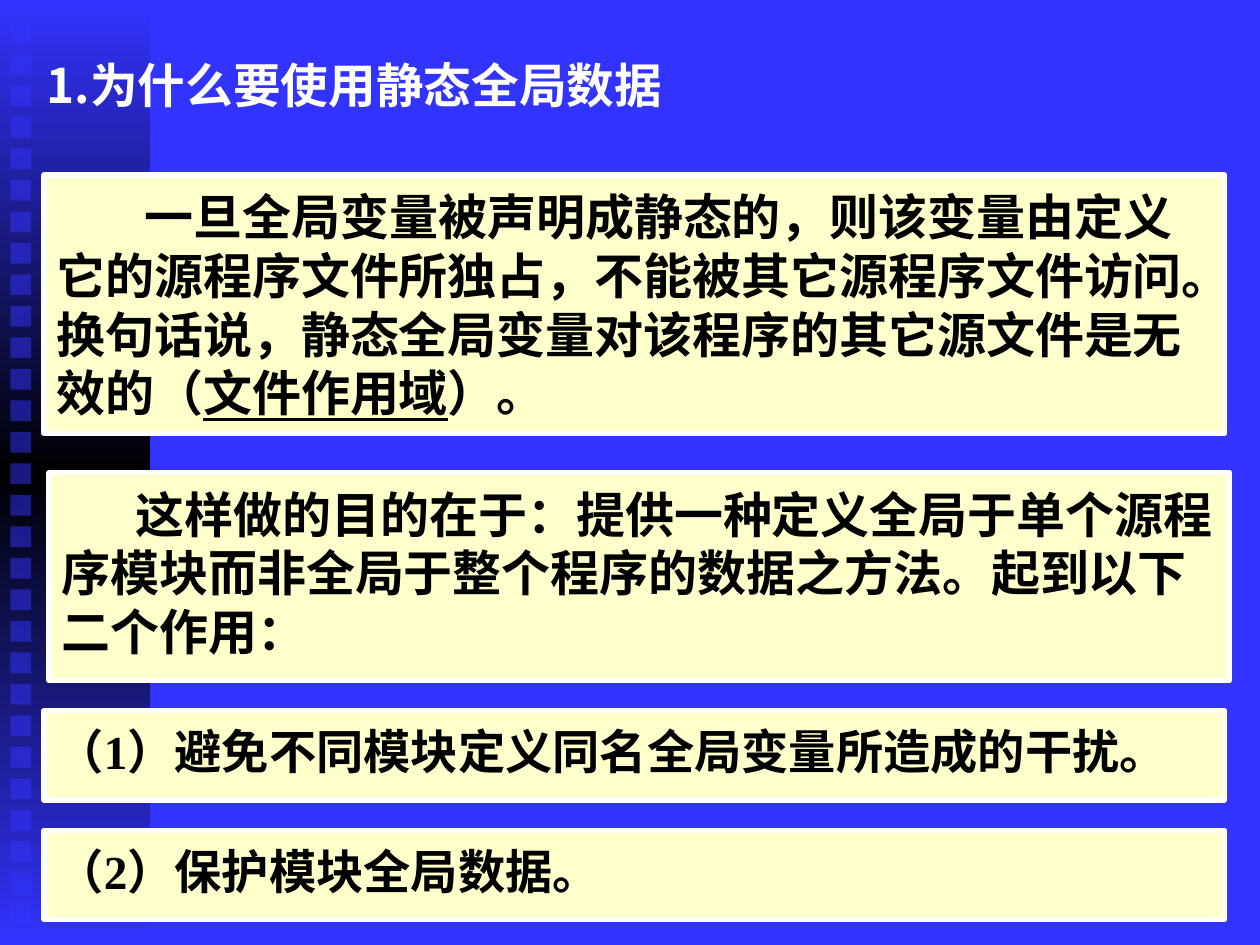
from lxml import etree
from pptx import Presentation, util as u
from pptx.dml.color import RGBColor
from pptx.enum import shapes, text
from pptx.oxml import parse_xml
from pptx.oxml.ns import nsdecls, qn

COLORS = {"blue": "3333FF", "black": "000000", "cream": "FFFFCC", "white": "FFFFFF"}
LATIN, CJK = "Times New Roman", "Noto Sans CJK SC"


def rgb(name):
    return RGBColor.from_string(COLORS[name])


def write(p, content, size=28, color="black", latin=LATIN, underline=False):
    r = p.add_run()
    r.text = content
    f = r.font
    f.name, f.size, f.bold, f.underline = latin, u.Pt(size), True, underline
    f.color.rgb = rgb(color)
    ea = etree.Element(qn("a:ea"), typeface=CJK)
    r._r.rPr.find(qn("a:latin")).addnext(ea)
    return r


class Deck:
    def __init__(self, width, height):
        self.prs = Presentation()
        self.prs.slide_width, self.prs.slide_height = u.Cm(width), u.Cm(height)
        self.s = self.prs.slides.add_slide(self.prs.slide_layouts[5])
        fill = self.s.background.fill
        fill.solid()
        fill.fore_color.rgb = rgb("blue")

    def rect(self, left, top, width, height, color):
        sp = self.s.shapes.add_shape(shapes.MSO_SHAPE.RECTANGLE,
                                     *map(u.Cm, (left, top, width, height)))
        sp.shadow.inherit = False
        sp.fill.solid()
        sp.fill.fore_color.rgb = rgb(color)
        sp.line.fill.background()
        return sp

    def gradient_band(self, width, height, colors):
        sp = self.rect(0, 0, width, height, colors[0])
        step = 100000 // (len(colors) - 1)
        stops = "".join(f'<a:gs pos="{i * step}"><a:srgbClr val="{COLORS[c]}"/></a:gs>'
                        for i, c in enumerate(colors))
        grad = parse_xml(f'<a:gradFill {nsdecls("a")} rotWithShape="1"><a:gsLst>{stops}</a:gsLst>'
                         '<a:lin ang="5400000" scaled="0"/></a:gradFill>')
        solid = sp.element.spPr.find(qn("a:solidFill"))
        solid.getparent().replace(solid, grad)

    def squares(self, count, left, top, size, pitch):
        for i in range(count):
            sp = self.rect(left, top + i * pitch, size, size, "blue")
            clr = sp.element.spPr.find(qn("a:solidFill"))[0]
            etree.SubElement(clr, qn("a:alpha"), val="50000")

    def frame(self, sp, top_inset):
        tf = sp.text_frame
        tf.word_wrap = True
        tf.auto_size = text.MSO_AUTO_SIZE.NONE
        tf.vertical_anchor = text.MSO_ANCHOR.TOP
        tf.margin_left = tf.margin_right = u.Cm(0.25)
        tf.margin_top, tf.margin_bottom = u.Cm(top_inset), u.Cm(0.13)
        p = tf.paragraphs[0]
        p.alignment = text.PP_ALIGN.LEFT
        return p

    def title(self, content, left, top, width, height):
        sp = self.s.shapes.title
        sp.left, sp.top, sp.width, sp.height = map(u.Cm, (left, top, width, height))
        sp.element.getparent().append(sp.element)
        p = self.frame(sp, 0.13)
        p.line_spacing = 0.9
        write(p, content, size=27.2, color="white", latin=CJK)

    def panel(self, runs, left, top, height, size=28, indent=0):
        sp = self.rect(left, top, 23.8, height, "cream")
        sp.line.color.rgb = rgb("white")
        sp.line.width = u.Pt(3)
        p = self.frame(sp, 0.23)
        p._p.get_or_add_pPr().set("indent", str(u.Cm(indent)))
        for content, underline in runs:
            write(p, content, size=size, underline=underline)


def main():
    deck = Deck(25.4, 19.05)
    deck.gradient_band(3.02, 19.05, ["blue", "black", "blue"])
    deck.squares(29, left=0.21, top=0.45, size=0.42, pitch=2.54 / 4)
    deck.title("1.为什么要使用静态全局数据", 0.69, 1.12, 21.59, 1.47)
    deck.panel([("一旦全局变量被声明成静态的，则该变量由定义它的源程序文件所独占，"
                 "不能被其它源程序文件访问。换句话说，静态全局变量对该程序的"
                 "其它源文件是无效的（", False),
                ("文件作用域", True), ("）。", False)],
               0.89, 3.53, 5.21, indent=1.78)
    deck.panel([("这样做的目的在于：提供一种定义全局于单个源程序模块而非全局于"
                 "整个程序的数据之方法。起到以下二个作用：", False)],
               0.99, 9.53, 4.19, indent=1.5)
    effects = ["（1）避免不同模块定义同名全局变量所造成的干扰。", "（2）保护模块全局数据。"]
    for i, effect in enumerate(effects):
        deck.panel([(effect, False)], 0.89, 14.33 + i * 2.41, 1.8, size=27)
    deck.prs.save("out.pptx")


if __name__ == "__main__":
    main()
